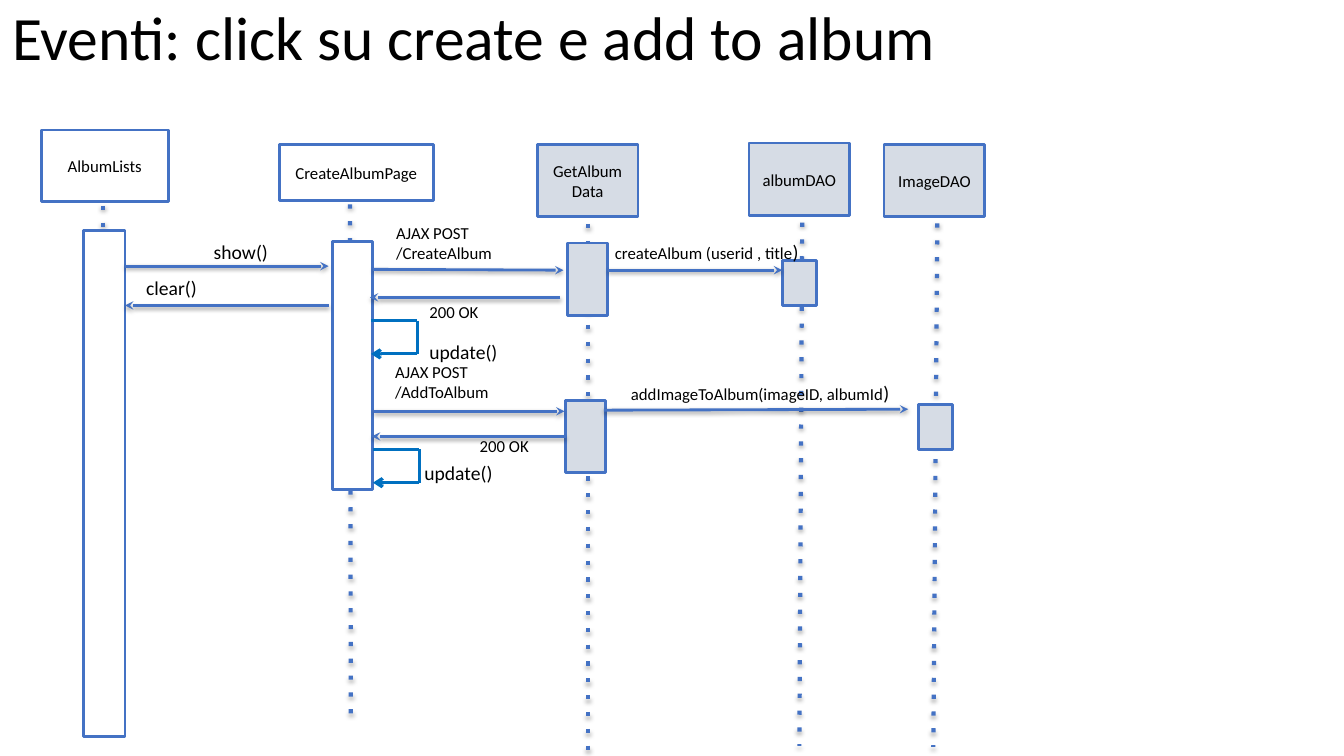
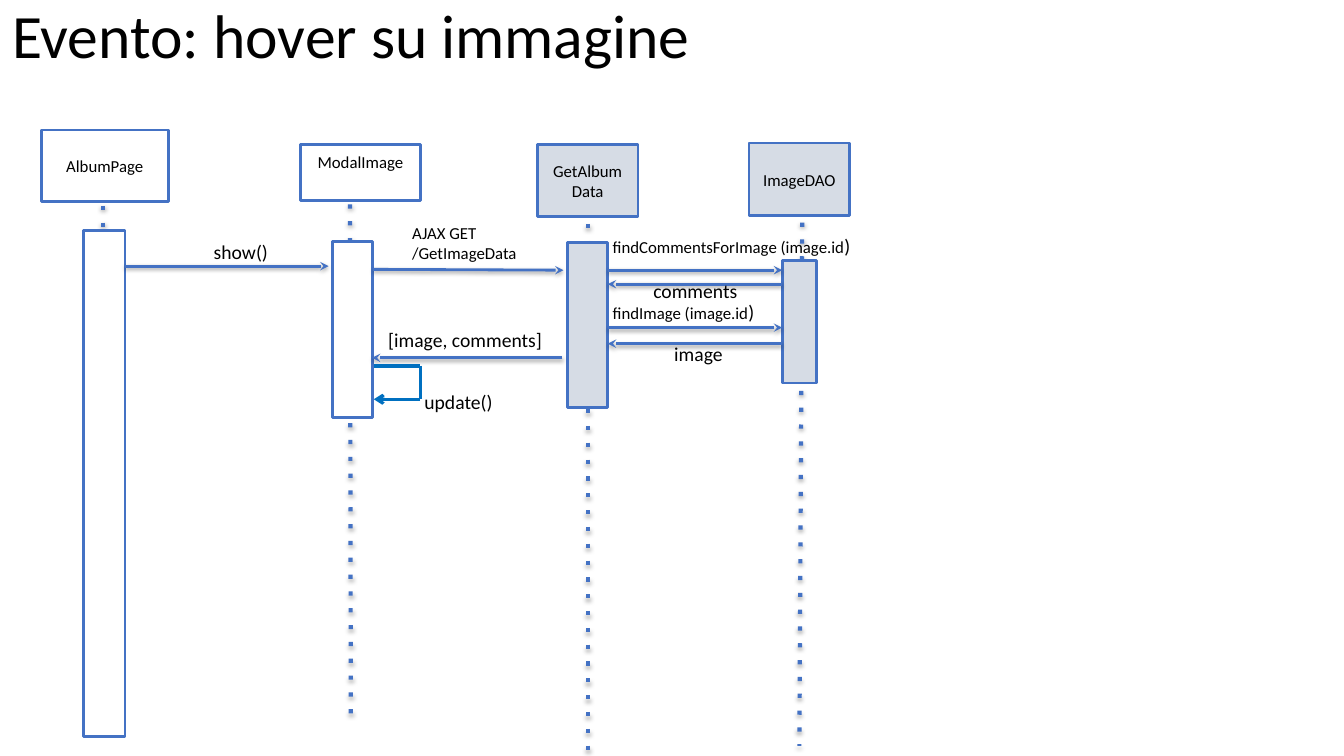
import dataclasses

import pptx
import pptx.dml.color
import pptx.enum.shapes
import pptx.enum.text
import pptx.oxml
import pptx.oxml.ns
import pptx.util

Pt = pptx.util.Pt
ALIGN = pptx.enum.text.PP_ALIGN
ANCHOR = pptx.enum.text.MSO_ANCHOR
STRAIGHT = pptx.enum.shapes.MSO_CONNECTOR.STRAIGHT

COLORS = {
    "text": "000000",
    "outline": "4472C4",
    "client": "FFFFFF",
    "server": "D6DCE5",
    "loop": "0070C0",
}
FONT = "Calibri"
INSET_X, INSET_Y = 8.64, 4.32
SMALL, NORMAL = 12, 14
LOOP_WIDTH, LOOP_HEIGHT = 33.1, 23.8
LINE_HEIGHT = 14.6


@dataclasses.dataclass
class Column:
    """Place of one participant: its header box, lifeline and activation bars."""
    side: str
    head: tuple      # left, top, width, height
    lifeline: tuple  # x1, y1, x2, y2
    bar_left: float
    bar_width: float


PAGE = Column("client", (29.5, 92.9, 90.7, 51.1), (73.5, 147, 73.5, 495.4), 59.8, 29.5)
VIEW = Column("client", (199.5, 103, 110, 40.3), (250, 146, 250.6, 512.6), 237.6, 28.8)
SERVLET = Column("server", (383.8, 103, 72, 51.8), (419.8, 160, 419.8, 540), 405.4, 28.8)
DAO = Column("server", (535, 102.2, 72, 51.8), (573.1, 147, 571, 532.8), 558.7, 24.5)
IMAGE_DAO = Column("server", (631.5, 103, 72, 51.8), (669.6, 147.6, 666.7, 533.5), 655.9, 24.5)


def rgb(name):
    return pptx.dml.color.RGBColor.from_string(COLORS[name])


def drawing_element(tag, content="", **attributes):
    pairs = "".join(f' {key}="{value}"' for key, value in attributes.items())
    namespace = pptx.oxml.ns.nsdecls("a")
    return pptx.oxml.parse_xml(f"<a:{tag} {namespace}{pairs}>{content}</a:{tag}>")


def style_font(font, size):
    font.name = FONT
    font.size = Pt(size)
    font.color.rgb = rgb("text")


def prepare_frame(frame, anchor):
    frame.word_wrap = True
    frame.vertical_anchor = anchor
    frame.margin_left = frame.margin_right = Pt(INSET_X)
    frame.margin_top = frame.margin_bottom = Pt(INSET_Y)


def add_text(slide, box, text, size=NORMAL, anchor=ANCHOR.TOP, align=ALIGN.LEFT, closing=""):
    """Write one paragraph per line; closing is a last run in the normal size."""
    frame = slide.shapes.add_textbox(*map(Pt, box)).text_frame
    prepare_frame(frame, anchor)
    frame.text = text
    for paragraph in frame.paragraphs:
        paragraph.alignment = align
        style_font(paragraph.font, size)
    if closing:
        run = frame.paragraphs[-1].add_run()
        run.text = closing
        run.font.size = Pt(NORMAL)
    return frame


def add_title(slide, text, width, height):
    frame = add_text(slide, (0, 0, width, height), text, 44, ANCHOR.MIDDLE)
    frame.paragraphs[0].line_spacing = 0.9


def add_box(slide, box, side):
    rectangle = slide.shapes.add_shape(
        pptx.enum.shapes.MSO_SHAPE.RECTANGLE, *map(Pt, box))
    rectangle.shadow.inherit = False
    rectangle.fill.solid()
    rectangle.fill.fore_color.rgb = rgb(side)
    rectangle.line.color.rgb = rgb("outline")
    rectangle.line.width = Pt(2)
    return rectangle


def add_head(slide, column, name, box=None, lift=0):
    """Draw a participant's header; lift raises the name above the middle."""
    frame = add_box(slide, box or column.head, column.side).text_frame
    prepare_frame(frame, ANCHOR.MIDDLE)
    frame.margin_bottom = Pt(INSET_Y + lift)
    frame.text = name
    frame.paragraphs[0].alignment = ALIGN.CENTER
    style_font(frame.paragraphs[0].font, SMALL)


def add_bar(slide, column, top, height, left=None):
    left = column.bar_left if left is None else left
    return add_box(slide, (left, top, column.bar_width, height), column.side)


def add_line(shapes, ends, color, width, dash="", arrow="", shadow=None):
    """Draw a straight line; shadow is (opacity in percent, distance)."""
    line = shapes.add_connector(STRAIGHT, *map(Pt, ends))
    line.line.color.rgb = rgb(color)
    line.line.width = Pt(width)
    outline = line.line._get_or_add_ln()
    if dash:
        outline.append(drawing_element("prstDash", val=dash))
    if arrow:
        outline.append(drawing_element("tailEnd", type=arrow))
    effect = ""
    if shadow:
        opacity, distance = shadow
        effect = (f'<a:outerShdw blurRad="{Pt(3.1)}" dist="{Pt(distance)}" '
                  f'dir="5400000" rotWithShape="0"><a:srgbClr val="{COLORS["text"]}">'
                  f'<a:alpha val="{opacity * 1000}"/></a:srgbClr></a:outerShdw>')
    line._element.spPr.append(drawing_element("effectLst", effect))
    return line


def add_lifelines(slide, columns):
    for column in columns:
        add_line(slide.shapes, column.lifeline, "outline", 3, dash="dot", shadow=(35, 1.8))


def add_message(slide, start, end, y, end_y=None):
    ends = (start, y, end, y if end_y is None else end_y)
    return add_line(slide.shapes, ends, "outline", 2, arrow="stealth", shadow=(38, 1.6))


def add_self_call(slide, left, top):
    shapes = slide.shapes.add_group_shape().shapes
    right, bottom = left + LOOP_WIDTH, top + LOOP_HEIGHT
    add_line(shapes, (left, top, right, top), "loop", 2.25)
    add_line(shapes, (right, top, right, bottom), "loop", 2.25)
    add_line(shapes, (right, bottom, left, bottom), "loop", 2.25, arrow="arrow")


def add_opening_messages(slide):
    """Draw the messages with which both sequences begin."""
    add_message(slide, 89.3, 234.7, 190.1)
    add_text(slide, (144, 167, 63.4, 26), "show()")
    add_message(slide, 266.4, 402.5, 192.4, 193)
    add_message(slide, 434.2, 558.7, 193)


def build_create_album(slide):
    add_title(slide, "Eventi: click su create e add to album", 807, 57.6)
    add_lifelines(slide, (PAGE, VIEW, SERVLET, DAO, IMAGE_DAO))
    add_head(slide, PAGE, "AlbumLists")
    add_head(slide, VIEW, "CreateAlbumPage")
    add_head(slide, SERVLET, "GetAlbumData")
    add_head(slide, DAO, "albumDAO")
    add_head(slide, IMAGE_DAO, "ImageDAO")
    add_bar(slide, PAGE, 164.9, 361.4)
    add_bar(slide, VIEW, 172.8, 177)
    add_bar(slide, SERVLET, 173.5, 51.8)
    add_to_album = add_bar(slide, SERVLET, 285.8, 51.8, left=404)
    add_bar(slide, DAO, 185.8, 32.4)
    add_bar(slide, IMAGE_DAO, 288.7, 32.4)

    add_opening_messages(slide)
    add_message(slide, 234.7, 89.3, 218.2)
    add_message(slide, 400.3, 264.2, 212.4)
    add_message(slide, 267, 403.2, 293.8)
    add_message(slide, 431.3, 648.7, 293, 292.3)
    add_message(slide, 404, 265.7, 311.7).begin_connect(add_to_album, 1)
    add_self_call(slide, 265, 229)
    add_self_call(slide, 266.4, 321)

    add_text(slide, (95.8, 193, 72, 35.3), "clear()")
    add_text(slide, (274.3, 154.8, 144.7, 34.6), "AJAX POST\n/CreateAlbum", SMALL)
    add_text(slide, (430.6, 167, 194.4, 18), "createAlbum (userid , title", SMALL, closing=")")
    add_text(slide, (298, 211, 90.7, 12.2), "200 OK", SMALL)
    add_text(slide, (298, 238.3, 72, 35.3), "update()")
    add_text(slide, (273.6, 254.2, 144.7, 34.6), "AJAX POST\n/AddToAlbum", SMALL)
    add_text(slide, (442, 267.8, 209.5, 18), "addImageToAlbum(imageID, albumId", SMALL,
             closing=")")
    add_text(slide, (334, 306.7, 90.7, 12.2), "200 OK", SMALL)
    add_text(slide, (294.5, 324.7, 72, 35.3), "update()")


def build_hover_image(slide):
    add_title(slide, "Evento: hover su immagine", 509, 54.8)
    add_lifelines(slide, (PAGE, VIEW, SERVLET, DAO))
    add_head(slide, PAGE, "AlbumPage")
    add_head(slide, VIEW, "ModalImage", (214.6, 103, 85.7, 40.3), lift=LINE_HEIGHT)
    add_head(slide, SERVLET, "GetAlbumData")
    add_head(slide, DAO, "ImageDAO")
    add_bar(slide, PAGE, 164.9, 361.4)
    add_bar(slide, VIEW, 172.8, 125.3)
    add_bar(slide, SERVLET, 173.5, 117.4)
    add_bar(slide, DAO, 185.8, 87.8)

    add_opening_messages(slide)
    add_message(slide, 558.7, 434.2, 203)
    add_message(slide, 434.2, 558.7, 234)
    add_message(slide, 558.7, 434.2, 245.5)
    add_message(slide, 401.8, 265.7, 255.6)
    add_self_call(slide, 267, 261.4)

    add_text(slide, (285.8, 154.8, 101.5, 34.6), "AJAX GET\n/GetImageData", SMALL)
    add_text(slide, (429, 162.7, 208.8, 23), "findCommentsForImage (image.id", SMALL,
             closing=")")
    add_text(slide, (458, 195, 94.3, 24.5), "comments")
    add_text(slide, (429, 210.2, 126.7, 23), "findImage (image.id", SMALL, closing=")")
    add_text(slide, (439.2, 239.8, 119.5, 23), "image", align=ALIGN.CENTER)
    add_text(slide, (268.6, 229.7, 127.4, 24.5), "[image, comments]")
    add_text(slide, (294.5, 274.3, 70.6, 32.4), "update()")


def main():
    presentation = pptx.Presentation()
    presentation.slide_width, presentation.slide_height = Pt(960), Pt(540)
    blank = presentation.slide_layouts[6]
    for build in (build_create_album, build_hover_image):
        build(presentation.slides.add_slide(blank))
    presentation.save("out.pptx")


if __name__ == "__main__":
    main()
